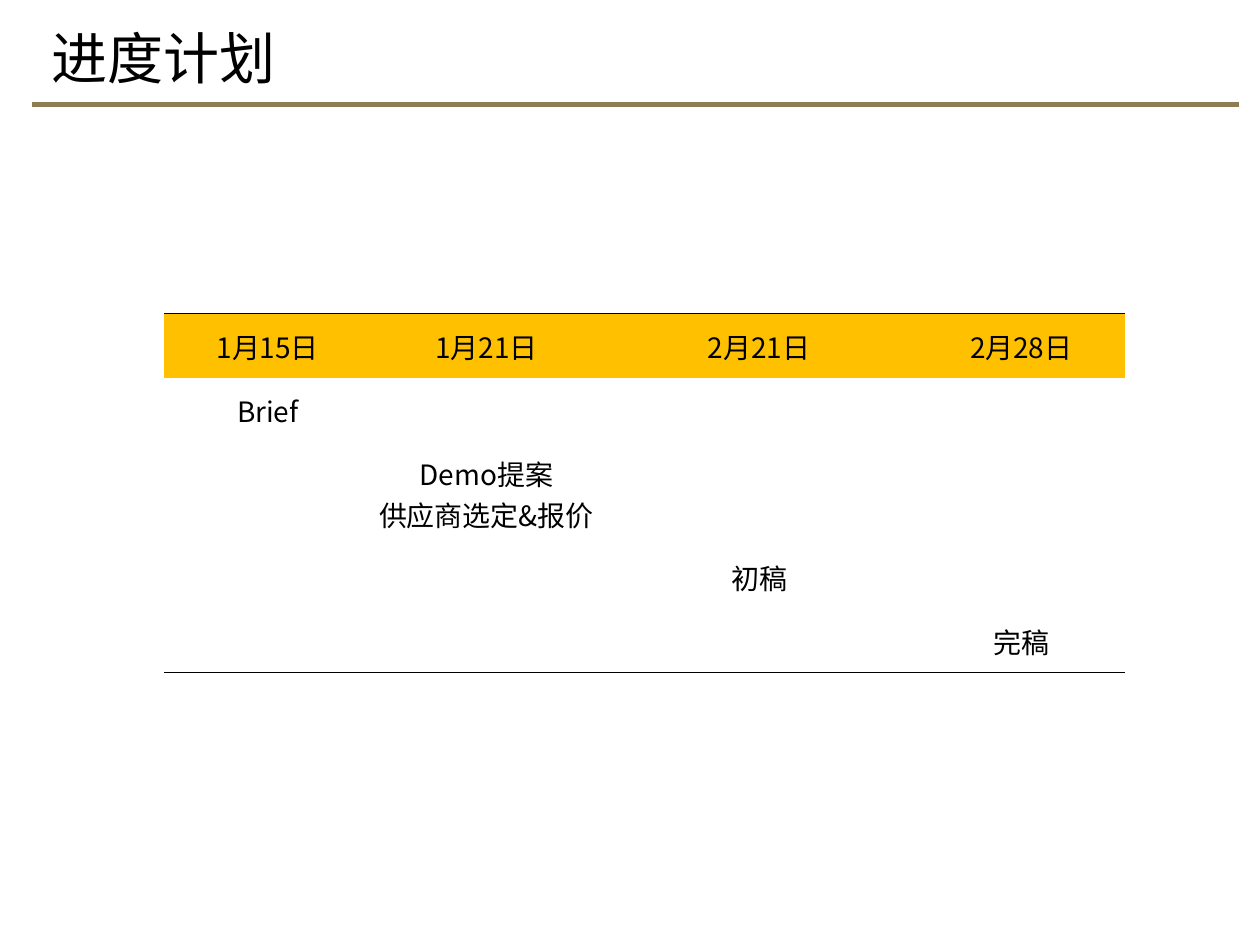
from lxml.etree import SubElement
from pptx import Presentation
from pptx.dml.color import RGBColor
from pptx.enum.shapes import MSO_CONNECTOR
from pptx.enum.text import MSO_ANCHOR, MSO_AUTO_SIZE, PP_ALIGN
from pptx.oxml.ns import qn
from pptx.util import Inches, Pt

COLORS = {"ink": "000000", "rule": "8E7D52", "header": "FFC000"}
FONT = "Noto Sans CJK SC"

COLUMN_WIDTHS = [1.65, 1.82, 2.51, 1.65]
ROW_HEIGHTS = [0.51, 0.51, 0.62, 0.51, 0.51]
DATES = ["1月15日", "1月21日", "2月21日", "2月28日"]
MILESTONES = ["Brief", "Demo提案\n供应商选定&报价", "初稿", "完稿"]


class ScheduleSlide:
    """Holds the style and the slide being built."""

    def __init__(self, slide):
        """Keep the slide to draw on."""
        self.slide = slide

    def style_text(self, frame, size, align):
        """Format every paragraph and run of a text frame."""
        for paragraph in frame.paragraphs:
            paragraph.alignment = align
            for run in paragraph.runs:
                run.font.size = Pt(size)
                run.font.name = FONT
                run.font.color.rgb = RGBColor.from_string(COLORS["ink"])
                SubElement(run.font._element, qn("a:ea"), typeface=FONT)

    def rule(self, left, right, y):
        """Draw the horizontal rule below the title."""
        line = self.slide.shapes.add_connector(
            MSO_CONNECTOR.STRAIGHT, Inches(left), Inches(y), Inches(right), Inches(y))
        line.line.color.rgb = RGBColor.from_string(COLORS["rule"])
        line.line.width = Pt(3)
        SubElement(line._element.spPr, qn("a:effectLst"))

    def title(self, text, left, top, width, height):
        """Add the slide title."""
        box = self.slide.shapes.add_textbox(
            Inches(left), Inches(top), Inches(width), Inches(height))
        frame = box.text_frame
        frame.text = text
        frame.word_wrap = True
        frame.auto_size = MSO_AUTO_SIZE.SHAPE_TO_FIT_TEXT
        self.style_text(frame, 32, PP_ALIGN.LEFT)

    def borders(self, cell, ruled):
        """Rule the named sides of a cell and clear the others."""
        properties = cell._tc.get_or_add_tcPr()
        for side in ("lnL", "lnR", "lnT", "lnB"):
            if side in ruled:
                line = SubElement(properties, qn(f"a:{side}"), w=str(Pt(0.5)))
                fill = SubElement(line, qn("a:solidFill"))
                SubElement(fill, qn("a:srgbClr"), val=COLORS["ink"])
            else:
                line = SubElement(properties, qn(f"a:{side}"), w="0")
                SubElement(line, qn("a:noFill"))

    def cell(self, cell, text, ruled, fill):
        """Fill in and format one table cell."""
        self.borders(cell, ruled)
        if fill:
            cell.fill.solid()
            cell.fill.fore_color.rgb = RGBColor.from_string(fill)
        else:
            cell.fill.background()
        cell.vertical_anchor = MSO_ANCHOR.MIDDLE
        cell.margin_left = cell.margin_top = cell.margin_right = Inches(0.01)
        cell.margin_bottom = 0
        if text:
            cell.text_frame.text = text
            self.style_text(cell.text_frame, 16, PP_ALIGN.CENTER)

    def schedule(self, left, top):
        """Add the table: dates on top, one milestone per row on the diagonal."""
        table = self.slide.shapes.add_table(
            len(ROW_HEIGHTS), len(COLUMN_WIDTHS), Inches(left), Inches(top),
            Inches(sum(COLUMN_WIDTHS)), Inches(sum(ROW_HEIGHTS))).table
        table.first_row = table.horz_banding = False
        for column, width in zip(table.columns, COLUMN_WIDTHS):
            column.width = Inches(width)
        last = len(ROW_HEIGHTS) - 1
        for r, height in enumerate(ROW_HEIGHTS):
            table.rows[r].height = Inches(height)
            ruled = {0: ["lnT"], last: ["lnB"]}.get(r, [])
            for c, date in enumerate(DATES):
                milestone = MILESTONES[c] if c == r - 1 else ""
                self.cell(table.cell(r, c), milestone if r else date, ruled,
                          None if r else COLORS["header"])


presentation = Presentation()
presentation.slide_width = Inches(10)
presentation.slide_height = Inches(7.5)
page = ScheduleSlide(presentation.slides.add_slide(presentation.slide_layouts[6]))
page.rule(0.25, 9.83, 0.83)
page.title("进度计划", 0.31, 0.14, 2.96, 0.64)
page.schedule(1.3, 2.49)
presentation.save("out.pptx")
